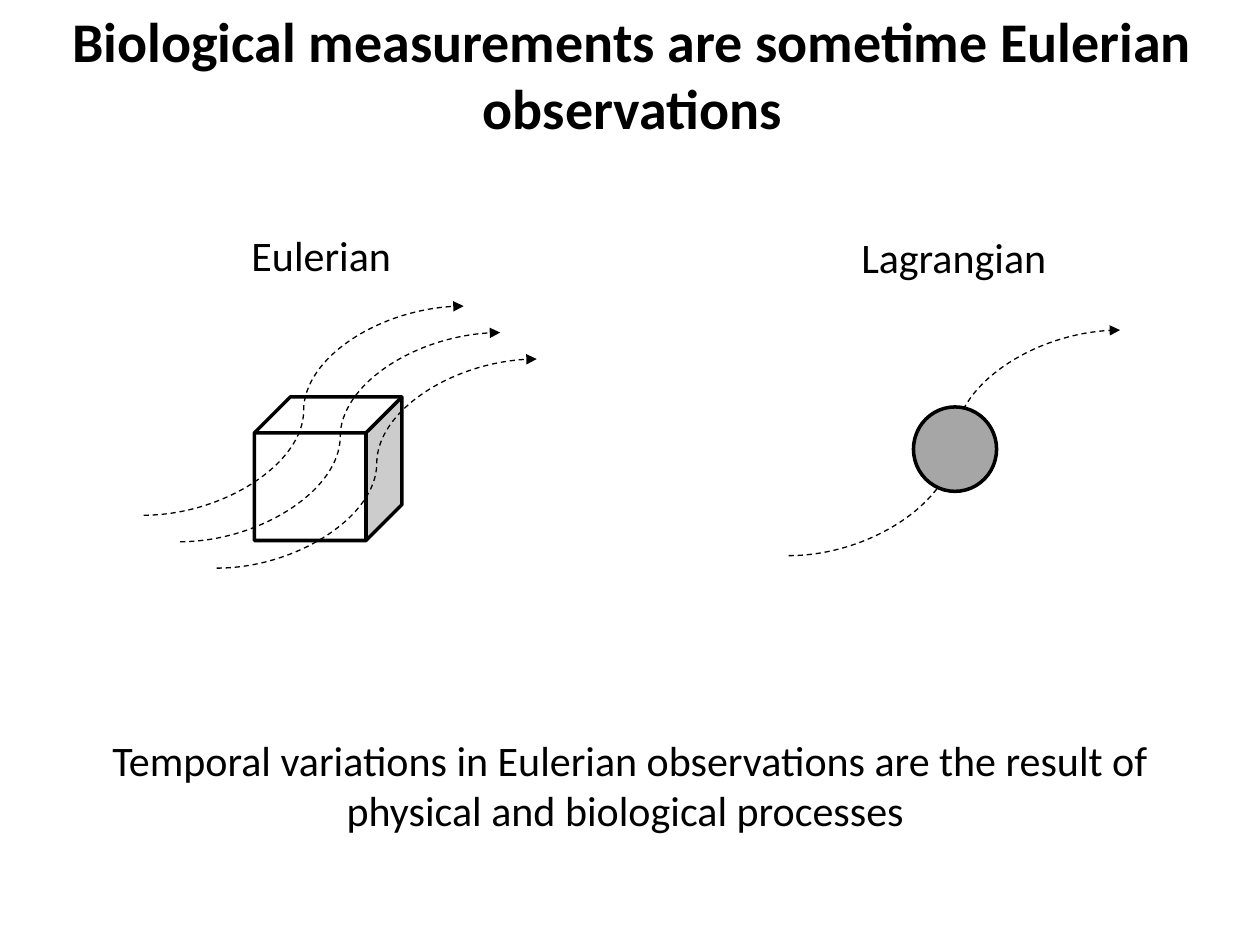
from dataclasses import dataclass

from lxml import etree
from pptx import Presentation
from pptx.dml.color import RGBColor
from pptx.enum.dml import MSO_LINE
from pptx.enum.shapes import MSO_CONNECTOR, MSO_SHAPE
from pptx.enum.text import PP_ALIGN
from pptx.oxml.ns import qn
from pptx.util import Inches, Pt

CURVE = MSO_CONNECTOR.CURVE
CUBE = MSO_SHAPE.CUBE
OVAL = MSO_SHAPE.OVAL
DASH = MSO_LINE.DASH
CENTER = PP_ALIGN.CENTER
BLACK = "000000"


@dataclass
class Box:
    left: float
    top: float
    width: float
    height: float

    def emu(self) -> tuple:
        return tuple(
            Inches(v) for v in (self.left, self.top, self.width, self.height)
        )


def color(code: str) -> RGBColor:
    return RGBColor.from_string(code)


def add_text(slide, text: str, box: Box, *, size: int = 24,
             bold: bool = False) -> None:
    frame = slide.shapes.add_textbox(*box.emu()).text_frame
    frame.word_wrap = True
    para = frame.paragraphs[0]
    para.alignment = CENTER
    run = para.add_run()
    run.text = text
    run.font.name = "Calibri"
    run.font.size = Pt(size)
    run.font.bold = bold
    run.font.color.rgb = color(BLACK)


def add_solid(group, kind, box: Box, fill: str) -> None:
    shape = group.shapes.add_shape(kind, *box.emu())
    shape.shadow.inherit = False
    shape.fill.solid()
    shape.fill.fore_color.rgb = color(fill)
    shape.line.color.rgb = color(BLACK)
    shape.line.width = Pt(2)


def add_path(group, box: Box) -> None:
    left, top, width, height = box.emu()
    path = group.shapes.add_connector(
        CURVE, left, top + height, left + width, top
    )
    path.line.color.rgb = color(BLACK)
    path.line.width = Pt(0.75)
    path.line.dash_style = DASH
    props = path._element.spPr
    etree.SubElement(props.find(qn("a:ln")), qn("a:tailEnd"), type="triangle")
    etree.SubElement(props, qn("a:effectLst"))


def main() -> None:
    deck = Presentation()
    deck.slide_width = Inches(10)
    deck.slide_height = Inches(7.5)
    slide = deck.slides.add_slide(deck.slide_layouts[6])

    drift = slide.shapes.add_group_shape()
    add_path(drift, Box(6.26, 2.62, 2.63, 1.79))
    add_solid(drift, OVAL, Box(7.25, 3.23, 0.66, 0.67), "A6A6A6")

    fixed = slide.shapes.add_group_shape()
    add_solid(fixed, CUBE, Box(2.02, 3.15, 1.17, 1.14), "FFFFFF")
    for step in range(3):
        add_path(fixed, Box(1.14 + 0.29 * step, 2.43 + 0.21 * step, 2.54, 1.66))

    add_text(slide, "Biological measurements are sometime Eulerian observations",
             Box(0.02, 0, 10, 1.18), size=32, bold=True)
    add_text(slide, "Temporal variations in Eulerian observations are the result "
             "of physical and biological processes ",
             Box(0.51, 5.78, 8.98, 0.91))
    add_text(slide, "Eulerian", Box(1.43, 1.77, 2.24, 0.5))
    add_text(slide, "Lagrangian", Box(6.45, 1.79, 2.24, 0.5))

    deck.save("out.pptx")


if __name__ == "__main__":
    main()
